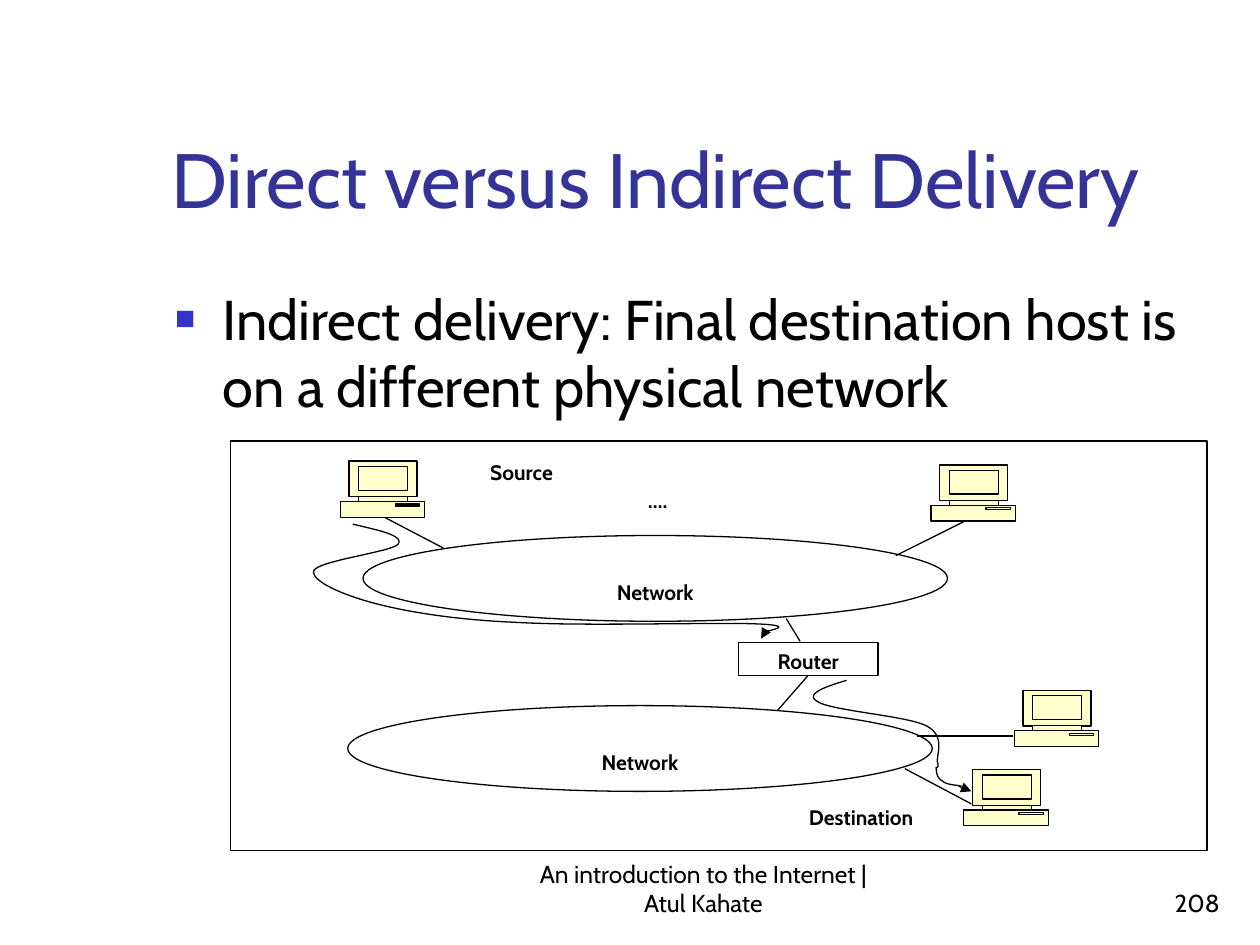
"""Build the slide that explains indirect delivery between two networks."""
from lxml.etree import SubElement
from pptx import Presentation
from pptx.dml.color import RGBColor
from pptx.enum.shapes import MSO_CONNECTOR, MSO_SHAPE
from pptx.enum.text import MSO_ANCHOR, MSO_AUTO_SIZE, PP_ALIGN
from pptx.oxml.ns import qn
from pptx.util import Pt


def color(hex_string):
    return RGBColor.from_string(hex_string)


def write(shape, text, size, align, anchor, hex_string="000000", bold=False):
    frame = shape.text_frame
    frame.word_wrap = True
    frame.auto_size = MSO_AUTO_SIZE.NONE
    frame.vertical_anchor = anchor
    paragraph = frame.paragraphs[0]
    paragraph.alignment = align
    paragraph.space_before = Pt(0)
    run = paragraph.add_run()
    run.text = text
    run.font.name = "Cabin"
    run.font.size = Pt(size)
    run.font.bold = bold
    run.font.color.rgb = color(hex_string)
    return paragraph


presentation = Presentation()
presentation.slide_width = Pt(720)
presentation.slide_height = Pt(540)
slide = presentation.slides.add_slide(presentation.slide_layouts[1])
shapes = slide.shapes

title = shapes.title
title.left, title.top, title.width, title.height = Pt(90.7), Pt(16.6), Pt(613.4), Pt(115.2)
write(title, "Direct versus Indirect Delivery", 44, PP_ALIGN.LEFT, MSO_ANCHOR.BOTTOM, "333399")

body = slide.placeholders[1]
body.left, body.top, body.width, body.height = Pt(92.9), Pt(159.1), Pt(612), Pt(324)
paragraph = write(body, "Indirect delivery: Final destination host is on a different physical network",
                  32, PP_ALIGN.LEFT, MSO_ANCHOR.TOP)
properties = paragraph._p.get_or_add_pPr()
properties.set("marL", str(Pt(27)))
properties.set("indent", str(-Pt(27)))
SubElement(SubElement(properties, qn("a:buClr")), qn("a:srgbClr")).set("val", "3333CC")
SubElement(properties, qn("a:buSzPct")).set("val", "60000")
SubElement(properties, qn("a:buChar")).set("char", "■")

for text, left, width, align in [
    ("An introduction to the Internet | Atul Kahate", 288, 228, PP_ALIGN.CENTER),
    ("208", 554.4, 149.8, PP_ALIGN.RIGHT),
]:
    box = shapes.add_textbox(Pt(left), Pt(491.8), Pt(width), Pt(36))
    write(box, text, 14, align, MSO_ANCHOR.BOTTOM)

for text, kind, left, top, width, height, outlined, margin_top in [
    ("", MSO_SHAPE.RECTANGLE, 131.8, 252, 558, 234, True, 3.6),
    ("Network", MSO_SHAPE.OVAL, 207.4, 306, 334, 49, True, 18.2),
    ("Network", MSO_SHAPE.OVAL, 198.7, 403.2, 334, 49, True, 18.2),
    ("….", MSO_SHAPE.RECTANGLE, 338.4, 275, 74.9, 20.9, False, 3.6),
    ("Source", MSO_SHAPE.RECTANGLE, 256.3, 259.2, 83.5, 18.7, False, 3.6),
    ("Destination", MSO_SHAPE.RECTANGLE, 438.5, 456.5, 107.3, 18.7, False, 3.6),
    ("Router", MSO_SHAPE.RECTANGLE, 421.9, 367.2, 79.9, 18.7, True, 3.6),
]:
    shape = shapes.add_shape(kind, Pt(left), Pt(top), Pt(width), Pt(height))
    shape.shadow.inherit = False
    shape.fill.solid()
    shape.fill.fore_color.rgb = color("FFFFFF")
    if outlined:
        shape.line.color.rgb = color("000000")
        shape.line.width = Pt(0.75)
    else:
        shape.line.fill.background()
    if text:
        write(shape, text, 12, PP_ALIGN.CENTER, MSO_ANCHOR.TOP, bold=True)
        shape.text_frame.margin_top = Pt(margin_top)
router = shape

case = [(38.5, 23), (38.5, 20.2), (43.9, 20.2), (43.9, 0), (5, 0), (5, 20.2), (10.5, 20.2),
        (10.5, 23), (0, 23), (0, 32), (48.2, 32), (48.2, 23)]
neck_screen_slot = [
    [(left, top), (right, top), (right, bottom), (left, bottom)]
    for left, top, right, bottom in [(10.5, 20.2, 38.5, 23), (10.5, 3, 38.5, 16.6), (31.5, 24.5, 45.4, 25.6)]
]
outlines = []
for left, top in [(194.4, 263.5), (532, 265.7), (579.6, 394.6), (550.8, 439.9)]:
    for contours in ([case], neck_screen_slot):
        placed = [[(left + x, top + y) for x, y in contour] for contour in contours]
        outlines.append((placed, True))

routes = [
    [(201.6, 299.5), (216.7, 303.1), (231.1, 306), (227.5, 311),
     (223.9, 315.4), (181.4, 320.4), (179.3, 326.2),
     (177.8, 331.9), (195.1, 339.8), (214.6, 344.9),
     (234, 349.9), (260.6, 354.2), (295.9, 355.7),
     (331.9, 357.8), (406.1, 355.7), (429.1, 356.4),
     (452.9, 357.1), (445, 359.3), (437.8, 360.7)],
    [(483.8, 388.8), (471.6, 392.4), (459.4, 396.7), (467.3, 401),
     (474.5, 406.1), (517.7, 409), (529.2, 414.7),
     (540.7, 420.5), (535, 431.3), (535.7, 435.6),
     (537.1, 439.9), (534.2, 437.8), (535, 439.2),
     (535, 441.4), (535.7, 445), (538.6, 446.4),
     (540.7, 448.6), (547.2, 448.6), (549.4, 449.3)],
]
steps = 16
for controls in routes:
    curve = [controls[0]]
    for first in range(0, len(controls) - 1, 3):
        segment = controls[first:first + 4]
        for step in range(1, steps + 1):
            t = step / steps
            weights = ((1 - t) ** 3, 3 * t * (1 - t) ** 2, 3 * t ** 2 * (1 - t), t ** 3)
            curve.append(tuple(sum(w * point[axis] for w, point in zip(weights, segment)) for axis in (0, 1)))
    outlines.append(([curve], False))

for contours, closed in outlines:
    builder = None
    for contour in contours:
        points = [(Pt(x), Pt(y)) for x, y in contour]
        if builder is None:
            builder = shapes.build_freeform(*points[0])
        else:
            builder.move_to(*points[0])
        builder.add_line_segments(points[1:], close=closed)
    shape = builder.convert_to_shape()
    shape.shadow.inherit = False
    shape.line.color.rgb = color("000000")
    shape.line.width = Pt(0.75)
    if closed:
        shape.fill.solid()
        shape.fill.fore_color.rgb = color("FFFFCC")
    else:
        shape.fill.background()

for start_x, start_y, end_x, end_y, arrow, from_router in [
    (220.3, 295.9, 253.4, 313.2, False, False),
    (449.3, 353.5, 457.2, 366.5, False, False),
    (550.8, 298.1, 511.9, 317.5, False, False),
    (461.9, 385.9, 444.2, 406.1, False, True),
    (524.2, 420.5, 578.9, 420.5, False, False),
    (517, 439.2, 555.1, 459.4, False, False),
    (437, 361.4, 434.9, 365, True, False),
    (547.9, 449.3, 555.1, 452.2, True, False),
]:
    connector = shapes.add_connector(MSO_CONNECTOR.STRAIGHT, Pt(start_x), Pt(start_y), Pt(end_x), Pt(end_y))
    connector.line.color.rgb = color("000000")
    connector.line.width = Pt(0.75)
    if from_router:
        connector.begin_connect(router, 2)
    if arrow:
        SubElement(connector.line._get_or_add_ln(), qn("a:tailEnd")).set("type", "triangle")
    SubElement(connector._element.spPr, qn("a:effectLst"))

presentation.save("out.pptx")
